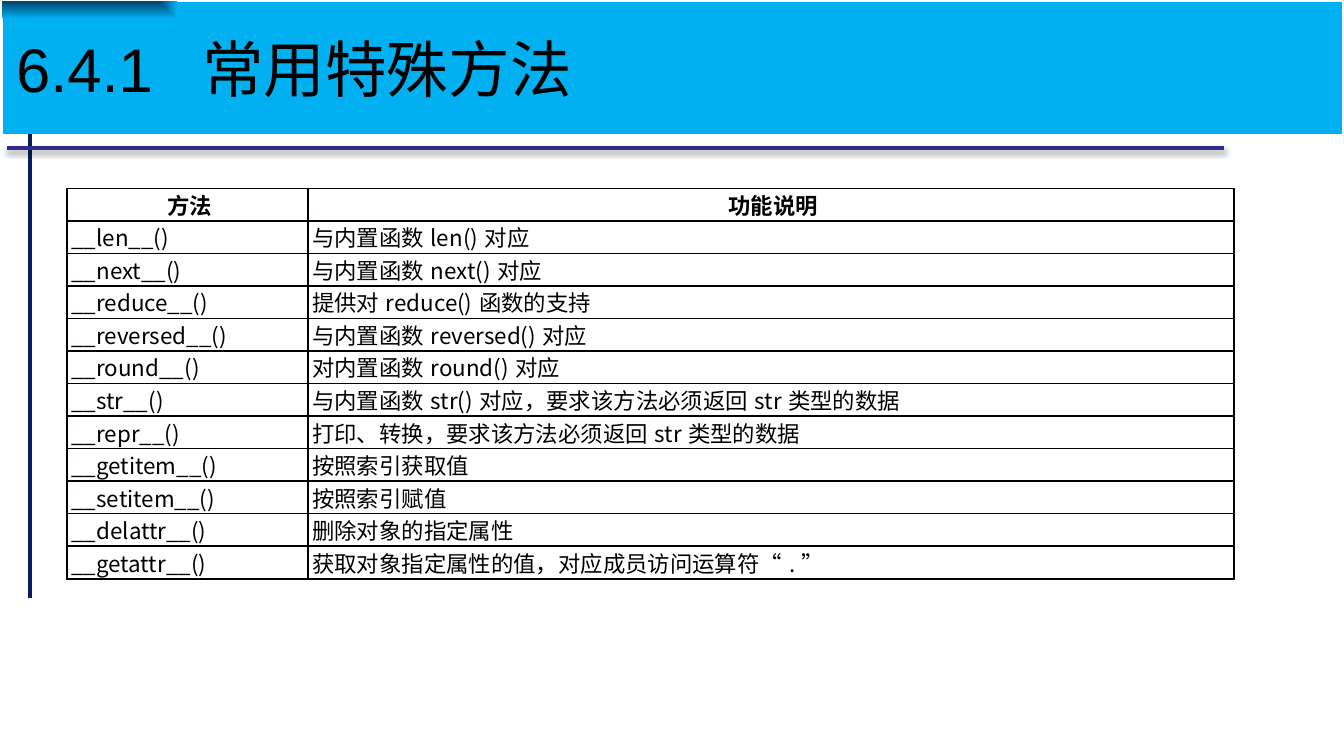
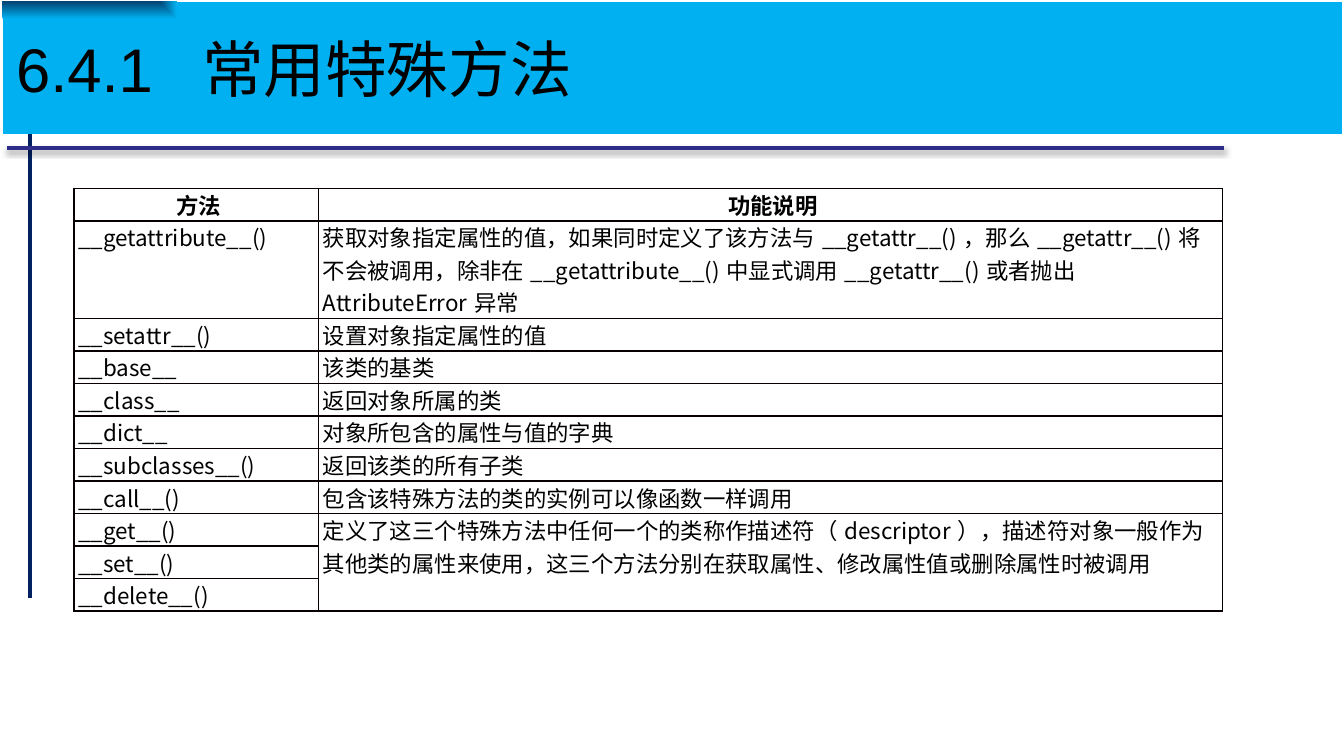
from lxml import etree
from pptx import Presentation
from pptx.dml.color import RGBColor
from pptx.enum.shapes import MSO_CONNECTOR
from pptx.enum.text import MSO_ANCHOR, MSO_AUTO_SIZE, PP_ALIGN
from pptx.oxml import parse_xml
from pptx.oxml.ns import nsdecls, qn
from pptx.util import Cm, Pt

STRAIGHT = MSO_CONNECTOR.STRAIGHT
MIDDLE = MSO_ANCHOR.MIDDLE
NO_AUTOFIT = MSO_AUTO_SIZE.NONE
LEFT, CENTER = PP_ALIGN.LEFT, PP_ALIGN.CENTER
TITLE_ONLY = 5

COLORS = {
    "text": "000000",
    "band": "00B0F0",
    "band_corner": "034373",
    "side_rule": "002060",
    "top_rule": "2D2D89",
    "grid": "080000",
    "grid_edge": "000000",
    "shadow": "000000",
}
TITLE_FONT, TABLE_FONT = "Arial", "Noto Sans CJK SC"

TITLE = "6.4.1  常用特殊方法"
HEADER = ("方法", "功能说明")
COMMON_METHODS = [
    ("__len__()", "与内置函数len()对应"),
    ("__next__()", "与内置函数next()对应"),
    ("__reduce__()", "提供对reduce()函数的支持"),
    ("__reversed__()", "与内置函数reversed()对应"),
    ("__round__()", "对内置函数round()对应"),
    ("__str__()", "与内置函数str()对应，要求该方法必须返回str类型的数据"),
    ("__repr__()", "打印、转换，要求该方法必须返回str类型的数据"),
    ("__getitem__()", "按照索引获取值"),
    ("__setitem__()", "按照索引赋值"),
    ("__delattr__()", "删除对象的指定属性"),
    ("__getattr__()", "获取对象指定属性的值，对应成员访问运算符“.”"),
]
# An empty description continues the one above it
ATTRIBUTE_METHODS = [
    ("__getattribute__()",
     "获取对象指定属性的值，如果同时定义了该方法与__getattr__()，那么__getattr__()将不会被调用，"
     "除非在__getattribute__()中显式调用__getattr__()或者抛出AttributeError异常"),
    ("__setattr__()", "设置对象指定属性的值"),
    ("__base__", "该类的基类"),
    ("__class__", "返回对象所属的类"),
    ("__dict__", "对象所包含的属性与值的字典"),
    ("__subclasses__()", "返回该类的所有子类"),
    ("__call__()", "包含该特殊方法的类的实例可以像函数一样调用"),
    ("__get__()",
     "定义了这三个特殊方法中任何一个的类称作描述符（descriptor），描述符对象一般作为其他类的属性来使用，"
     "这三个方法分别在获取属性、修改属性值或删除属性时被调用"),
    ("__set__()", ""),
    ("__delete__()", ""),
]


class Deck:
    def __init__(self):
        self.prs = Presentation()
        self.prs.slide_width, self.prs.slide_height = Cm(25.4), Cm(14.29)
        self.slide = None

    def new_slide(self, title):
        layout = self.prs.slide_layouts[TITLE_ONLY]
        self.slide = self.prs.slides.add_slide(layout)
        self.rule(0.56, 2.06, 0.56, 11.3, "side_rule")
        self.rule(0.13, 2.79, 23.14, 2.79, "top_rule", shadow=True)
        self.title_band(title)

    def rule(self, x1, y1, x2, y2, color, shadow=False):
        line = self.slide.shapes.add_connector(STRAIGHT, Cm(x1), Cm(y1), Cm(x2), Cm(y2))
        line.line.color.rgb = RGBColor.from_string(COLORS[color])
        line.line.width = Pt(2.25)
        effects = etree.SubElement(line._element.spPr, qn("a:effectLst"))
        if shadow:
            effects.append(parse_xml(
                f'<a:outerShdw {nsdecls("a")} blurRad="{Pt(3.1)}" dist="{Pt(1.8)}" '
                f'dir="5400000" rotWithShape="0"><a:srgbClr val="{COLORS["shadow"]}">'
                '<a:alpha val="35000"/></a:srgbClr></a:outerShdw>'))

    def title_band(self, text):
        band = self.slide.shapes.title
        band.left, band.top, band.width, band.height = Cm(0.05), Cm(0.03), Cm(25.32), Cm(2.51)
        band._element.spPr.append(parse_xml(
            f'<a:gradFill {nsdecls("a")} rotWithShape="1"><a:gsLst>'
            f'<a:gs pos="0"><a:srgbClr val="{COLORS["band_corner"]}"/></a:gs>'
            f'<a:gs pos="26000"><a:srgbClr val="{COLORS["band"]}"/></a:gs></a:gsLst>'
            '<a:path path="rect"><a:fillToRect r="100000" b="100000"/></a:path></a:gradFill>'))
        frame = band.text_frame
        frame.text = text
        frame.auto_size = NO_AUTOFIT
        frame.vertical_anchor = MIDDLE
        self.style(frame.paragraphs[0], TITLE_FONT, 33)
        # The band covers the upper end of the side rule
        self.slide.shapes._spTree.append(band._element)

    def style(self, paragraph, font_name, size, bold=False, align=LEFT):
        paragraph.alignment = align
        font = paragraph.font
        font.name, font.size, font.bold = font_name, Pt(size), bold
        font.color.rgb = RGBColor.from_string(COLORS["text"])

    def method_table(self, left, widths, row_height, methods, tall_rows=None):
        rows = [HEADER, *methods]
        heights = [(tall_rows or {}).get(i, row_height) for i in range(len(rows))]
        table = self.slide.shapes.add_table(
            len(rows), len(widths), Cm(left), Cm(3.56), Cm(sum(widths)), Cm(sum(heights))).table
        table.first_row = table.horz_banding = False
        for column, width in zip(table.columns, widths):
            column.width = Cm(width)
        for row, height in zip(table.rows, heights):
            row.height = Cm(height)
        for r, texts in enumerate(rows):
            for c, text in enumerate(texts):
                self.fill_cell(table.cell(r, c), text, r == 0, c == len(widths) - 1)
        # Join each description with the empty cells below it
        start = 0
        for r, (_, description) in enumerate(rows):
            if description:
                start = r
            elif r == len(rows) - 1 or rows[r + 1][1]:
                table.cell(start, 1).merge(table.cell(r, 1))

    def fill_cell(self, cell, text, is_header, is_last):
        cell.margin_left = Cm(0.08)
        cell.margin_top = cell.margin_right = cell.margin_bottom = 0
        cell.text = text
        paragraph = cell.text_frame.paragraphs[0]
        self.style(paragraph, TABLE_FONT, 12, is_header, CENTER if is_header else LEFT)
        east_asian = etree.SubElement(paragraph.font._element, qn("a:ea"))
        east_asian.set("typeface", TABLE_FONT)
        for side in "LRTB":
            outer = is_last and side == "R"
            color = COLORS["grid_edge" if outer else "grid"]
            cell._tc.get_or_add_tcPr().append(parse_xml(
                f'<a:ln{side} {nsdecls("a")} w="{Pt(0.75 if outer else 1)}">'
                f'<a:solidFill><a:srgbClr val="{color}"/></a:solidFill></a:ln{side}>'))
        cell.fill.background()


def main():
    deck = Deck()

    # Common special methods
    deck.new_slide(TITLE)
    deck.method_table(1.27, (4.55, 17.5), 0.51, COMMON_METHODS)

    # Attribute, class and descriptor methods
    deck.new_slide(TITLE)
    deck.method_table(1.4, (4.62, 17.09), 0.56, ATTRIBUTE_METHODS, tall_rows={1: 1.57})

    deck.prs.save("out.pptx")


if __name__ == "__main__":
    main()
